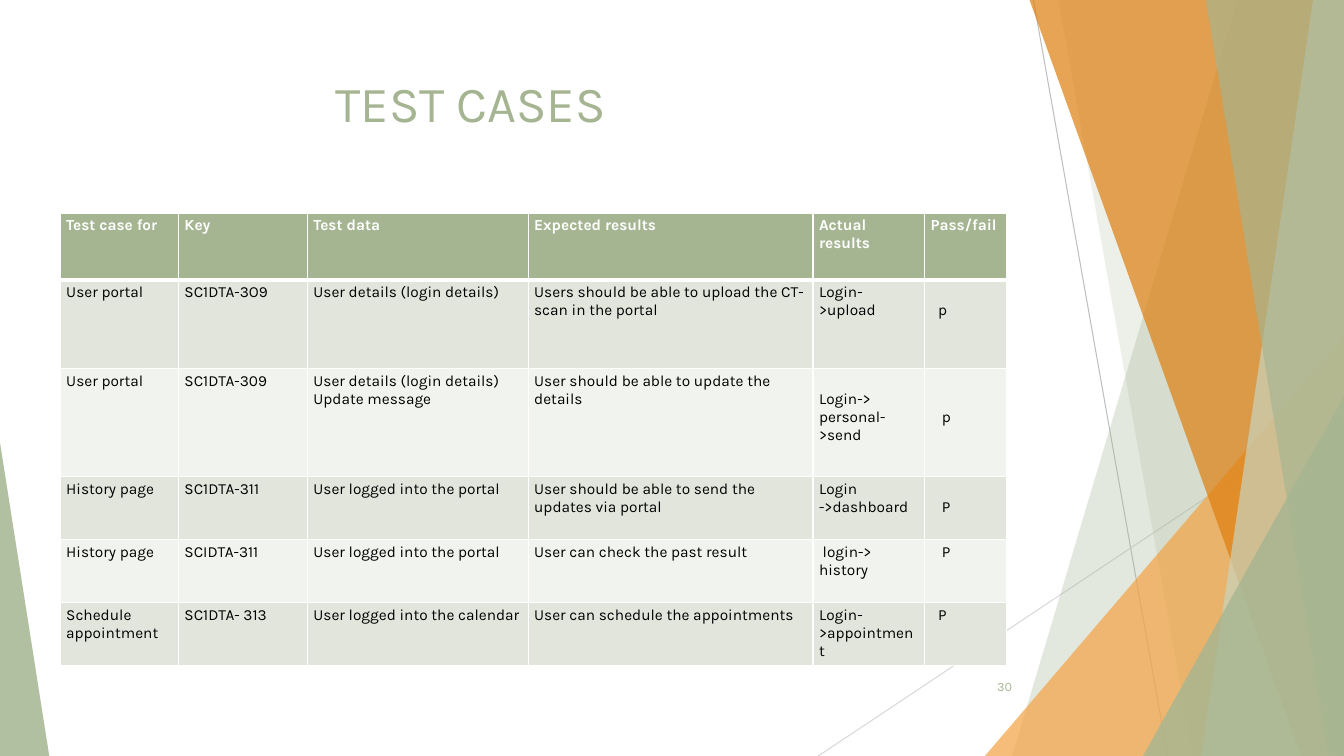
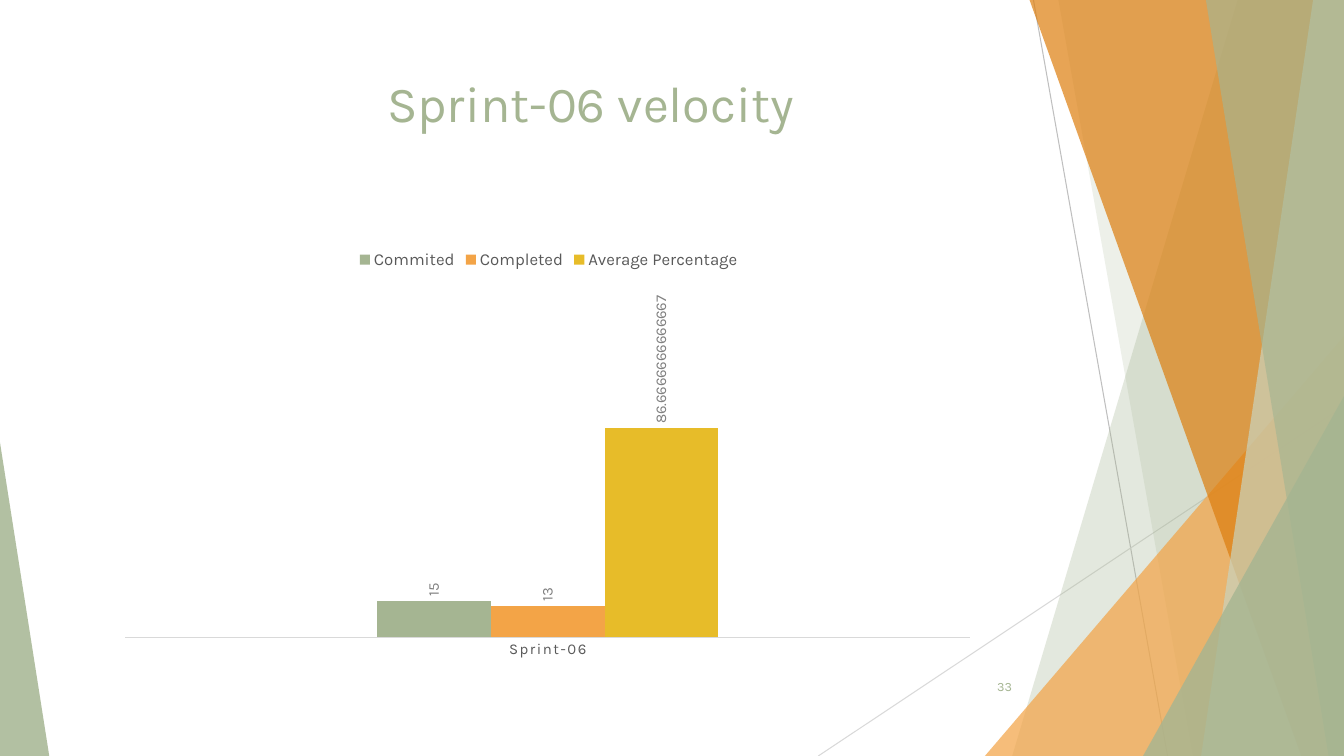
import dataclasses

import lxml.etree
import pptx
import pptx.chart.data
import pptx.dml.color
import pptx.enum.chart
import pptx.enum.shapes
import pptx.enum.text
import pptx.oxml
import pptx.oxml.ns
import pptx.util

Pt = pptx.util.Pt
qn = pptx.oxml.ns.qn
rgb = pptx.dml.color.RGBColor.from_string


@dataclasses.dataclass(frozen=True)
class Theme:
    font: str = "Karla"
    white: str = "FFFFFF"
    black: str = "000000"
    sage: str = "A5B592"
    pale_sage: str = "C9D3BE"
    orange: str = "F3A447"
    burnt_orange: str = "DD7E0E"
    gold: str = "E7BC29"
    row_dark: str = "E1E5DC"
    row_light: str = "F0F3EE"
    axis_text: str = "595959"
    label_text: str = "808080"
    rule: str = "BFBFBF"
    light_rule: str = "D9D9D9"
    title_size: float = 36
    legend_size: float = 12
    table_size: float = 11
    chart_size: float = 10.64
    number_size: float = 9


theme = Theme()


def set_font(font, size, color, bold=False):
    font.name = theme.font
    font.size = Pt(size)
    font.bold = bold
    font.color.rgb = rgb(color)


def add_text(frame, text, size, color, bold=False, align=pptx.enum.text.PP_ALIGN.LEFT):
    for index, line in enumerate(text.split("\n")):
        para = frame.add_paragraph() if index else frame.paragraphs[0]
        para.alignment = align
        span = para.add_run()
        span.text = line
        set_font(span.font, size, color, bold)


deck = pptx.Presentation()
deck.slide_width, deck.slide_height = Pt(960), Pt(540)
layout = deck.slide_layouts.get_by_name("Title Only")
title_place = layout.placeholders[0]
title_place.left, title_place.top = Pt(53.3), Pt(48)
title_place.width, title_place.height = Pt(677), Pt(104)

# Pages: title, left margin of the title, page number
pages = []
for title, title_margin, number in (
    ("TEST CASES", 186.4, "30"),
    ("Sprint-06 velocity", 223.2, "33"),
):
    page = deck.slides.add_slide(layout)
    pages.append(page)
    frame = page.shapes.title.text_frame
    frame.auto_size = pptx.enum.text.MSO_AUTO_SIZE.NONE
    frame.vertical_anchor = pptx.enum.text.MSO_ANCHOR.TOP
    frame.margin_left = Pt(title_margin)
    add_text(frame, title, theme.title_size, theme.sage)

    box = page.shapes.add_textbox(Pt(676), Pt(476), Pt(54), Pt(29))
    box.text_frame.word_wrap = True
    box.text_frame.vertical_anchor = pptx.enum.text.MSO_ANCHOR.MIDDLE
    add_text(box.text_frame, number, theme.number_size, theme.sage,
             align=pptx.enum.text.PP_ALIGN.RIGHT)
table_page, chart_page = pages

# Shared facets: drawn once, then moved to the layout
canvas = table_page.shapes
artwork = []
for start_x, start_y, end_x, end_y, color in (
    (738.2, 0, 834, 540, theme.rule),
    (960, 290, 584.5, 540, theme.light_rule),
):
    line = canvas.add_connector(pptx.enum.shapes.MSO_CONNECTOR.STRAIGHT,
                                Pt(start_x), Pt(start_y), Pt(end_x), Pt(end_y))
    line.line.color.rgb = rgb(color)
    line.line.width = Pt(0.75)
    lxml.etree.SubElement(line.element.spPr, qn("a:effectLst"))
    artwork.append(line)

# A band has top and bottom x; a triangle has left, top, width, height, apex
for kind, geometry, color, opacity in (
    ("band", (884, 723), theme.sage, 30),
    ("band", (756, 852), theme.sage, 20),
    ("triangle", (703.5, 240, 256.5, 300, 1), theme.orange, 72),
    ("band", (735.4, 929.5), theme.burnt_orange, 70),
    ("band", (938, 858), theme.pale_sage, 70),
    ("band", (861.4, 949), theme.sage, 65),
    ("triangle", (816.5, 283, 143.5, 257, 1), theme.sage, 80),
    ("triangle", (0, 316, 35.2, 224, 0), theme.sage, 85),
):
    if kind == "band":
        top_x, bottom_x = geometry
        outline = canvas.build_freeform(Pt(top_x), Pt(0))
        outline.add_line_segments(
            [(Pt(960), Pt(0)), (Pt(960), Pt(540)), (Pt(bottom_x), Pt(540))], close=True)
        facet = outline.convert_to_shape()
    else:
        facet = canvas.add_shape(pptx.enum.shapes.MSO_SHAPE.ISOSCELES_TRIANGLE,
                                 *(Pt(length) for length in geometry[:4]))
        facet.adjustments[0] = geometry[4]
    facet.shadow.inherit = False
    facet.line.fill.background()
    facet.fill.solid()
    facet.fill.fore_color.rgb = rgb(color)
    tint = facet.element.xpath(".//a:srgbClr")[0]
    lxml.etree.SubElement(tint, qn("a:alpha")).set("val", str(opacity * 1000))
    artwork.append(facet)

for index, piece in enumerate(artwork):
    piece.element.xpath(".//p:cNvPr")[0].set("id", str(100 + index))
    layout.shapes.element.insert(2 + index, piece.element)

# Test case table
rows = (
    ("Test case for", "Key", "Test data", "Expected results", "Actual results", "Pass/fail"),
    ("User portal", "SC1DTA-3O9", "User details (login details)",
     "Users should be able to upload the CT-scan in the portal", "Login->upload", "p"),
    ("User portal", "SC1DTA-309", "User details (login details)\nUpdate message",
     "User should be able to update the details", "Login-> personal->send", "p"),
    ("History page", "SC1DTA-311", "User logged into the portal",
     "User should be able to send the updates via portal", "Login ->dashboard", "P"),
    ("History page", "SCIDTA-311", "User logged into the portal",
     "User can check the past result", " login-> history", "P"),
    ("Schedule appointment", "SC1DTA- 313", "User logged into the calendar",
     "User can schedule the appointments", "Login->appointment", "P"),
)
column_widths = (84.5, 92.1, 157.7, 203.5, 79.7, 58.5)
row_heights = (48, 63.3, 77.1, 45, 45, 45)
side_margin, top_margin, line_height = 4.3, 2.5, 12.86
# Cells set lower or further in: lines down, points in
offsets = {(1, 5): (1, 5.4), (2, 4): (1, 0), (2, 5): (2, 8.1),
           (3, 5): (1, 8.1), (4, 5): (0, 8.1), (5, 5): (0, 5.4)}

table = table_page.shapes.add_table(
    len(rows), len(column_widths), Pt(43), Pt(152.2),
    Pt(sum(column_widths)), Pt(sum(row_heights))).table
table.horz_banding = False
for column, width in zip(table.columns, column_widths):
    column.width = Pt(width)
for row_index, (texts, height) in enumerate(zip(rows, row_heights)):
    table.rows[row_index].height = Pt(height)
    header = row_index == 0
    if header:
        fill = theme.sage
    else:
        fill = theme.row_dark if row_index % 2 else theme.row_light
    for column_index, text in enumerate(texts):
        cell = table.cell(row_index, column_index)
        lines_down, points_in = offsets.get((row_index, column_index), (0, 0))
        cell.margin_left = Pt(side_margin + points_in)
        cell.margin_right = Pt(side_margin)
        cell.margin_top = Pt(top_margin + lines_down * line_height)
        cell.margin_bottom = Pt(top_margin)
        edges = {"L": 1, "R": 1, "T": 3 if row_index == 1 else 1, "B": 3 if header else 1}
        for edge, width in edges.items():
            border = lxml.etree.SubElement(cell._tc.tcPr, qn("a:ln" + edge))
            border.set("w", str(Pt(width)))
            paint = lxml.etree.SubElement(border, qn("a:solidFill"))
            lxml.etree.SubElement(paint, qn("a:srgbClr")).set("val", theme.white)
        cell.fill.solid()
        cell.fill.fore_color.rgb = rgb(fill)
        add_text(cell.text_frame, text, theme.table_size,
                 theme.white if header else theme.black, bold=header)

# Velocity chart: name, value, colour, label format
velocity = (("Commited", 15, theme.sage, "General"),
            ("Completed", 13, theme.orange, "General"),
            ("Average Percentage", 86.67, theme.gold, '"86.6666666666667"'))
data = pptx.chart.data.CategoryChartData()
data.categories = ["Sprint-06"]
for name, value, color, label_format in velocity:
    data.add_series(name, [value])
chart = chart_page.shapes.add_chart(
    pptx.enum.chart.XL_CHART_TYPE.COLUMN_CLUSTERED,
    Pt(53.5), Pt(170.3), Pt(677), Pt(305.3), data).chart
set_font(chart.font, 10, theme.black)
chart.has_title = False
chart.has_legend = True
chart.legend.position = pptx.enum.chart.XL_LEGEND_POSITION.TOP
chart.legend.include_in_layout = False
set_font(chart.legend.font, theme.legend_size, theme.axis_text)

# Columns and their upright labels
plot = chart.plots[0]
plot.gap_width = 444
plot.overlap = 0
plot.vary_by_categories = False
for series, (name, value, color, label_format) in zip(plot.series, velocity):
    series.format.fill.solid()
    series.format.fill.fore_color.rgb = rgb(color)
    labels = series.data_labels
    labels.show_value = True
    labels.number_format = label_format
    labels.number_format_is_linked = False
    labels.position = pptx.enum.chart.XL_LABEL_POSITION.OUTSIDE_END
    set_font(labels.font, theme.chart_size, theme.label_text)
    text_body = labels._element.find(qn("c:txPr")).find(qn("a:bodyPr"))
    text_body.set("rot", "-5400000")
    text_body.set("vert", "horz")

# Axes
value_axis = chart.value_axis
value_axis.minimum_scale, value_axis.maximum_scale = 0, 100
value_axis.has_major_gridlines = False
value_axis.visible = False
category_axis = chart.category_axis
category_axis.major_tick_mark = pptx.enum.chart.XL_TICK_MARK.NONE
category_axis.format.line.color.rgb = rgb(theme.light_rule)
category_axis.format.line.width = Pt(0.75)
set_font(category_axis.tick_labels.font, theme.chart_size, theme.axis_text)
category_axis._element.xpath(".//a:defRPr")[0].set("spc", "120")

# Fixed plot area
plot_area = chart.element.xpath(".//c:plotArea")[0]
for old_layout in plot_area.findall(qn("c:layout")):
    plot_area.remove(old_layout)
plot_layout = lxml.etree.Element(qn("c:layout"))
manual = lxml.etree.SubElement(plot_layout, qn("c:manualLayout"))
for tag, value in (("layoutTarget", "inner"), ("xMode", "edge"), ("yMode", "edge"),
                   ("x", 0.053), ("y", 0.368), ("w", 0.892), ("h", 0.565)):
    lxml.etree.SubElement(manual, qn("c:" + tag)).set("val", str(value))
plot_area.insert(0, plot_layout)

deck.save("out.pptx")
